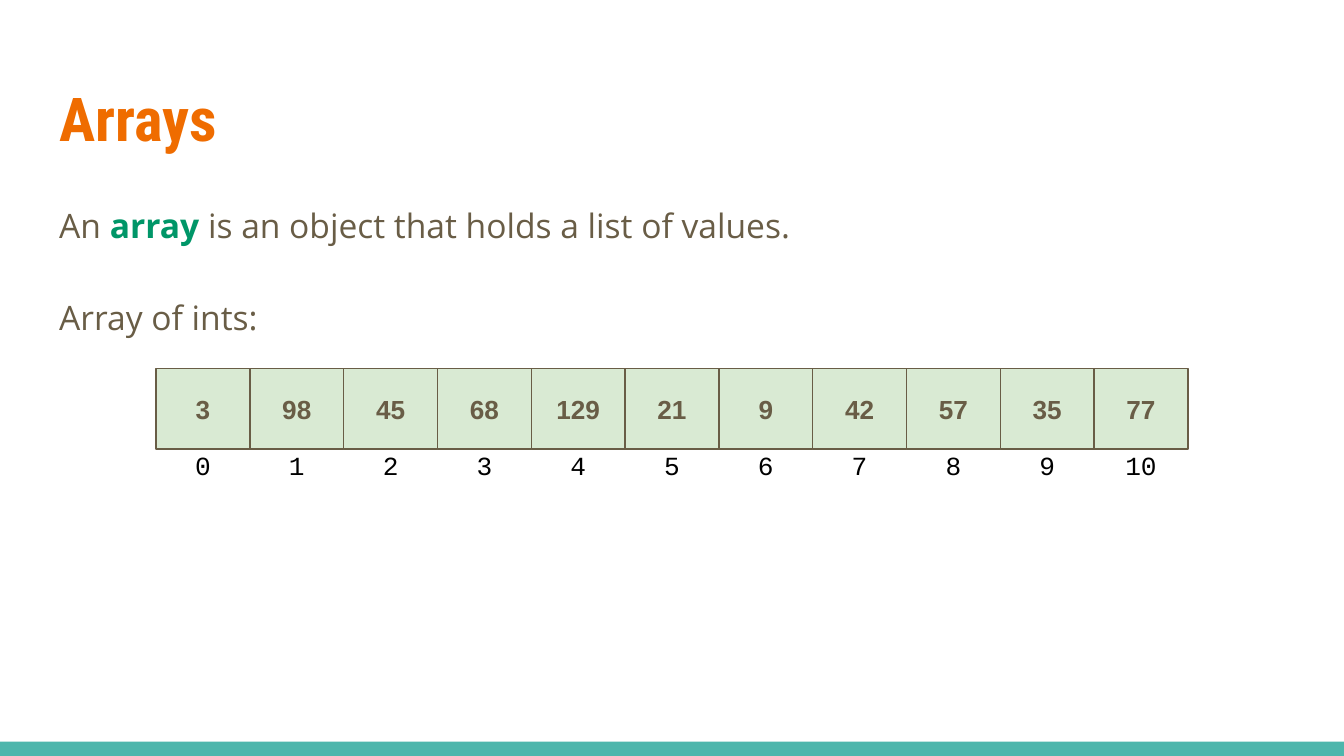
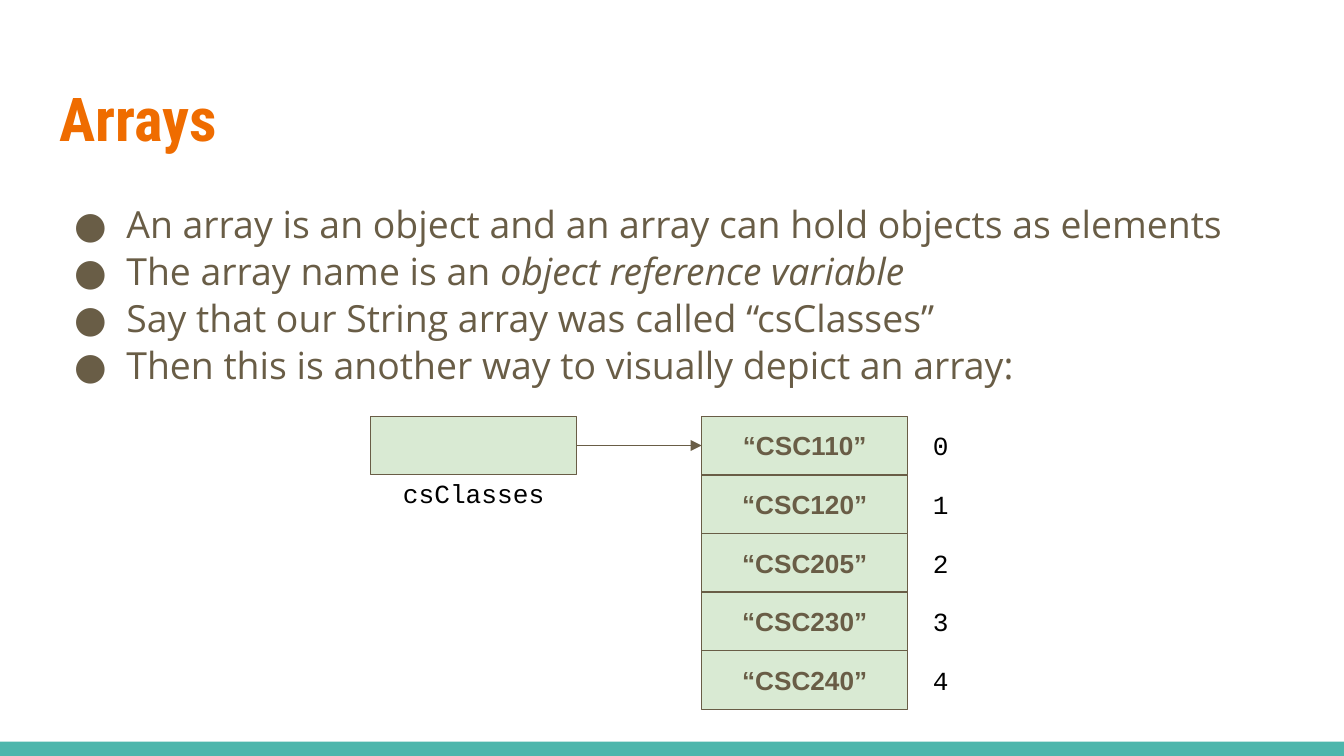
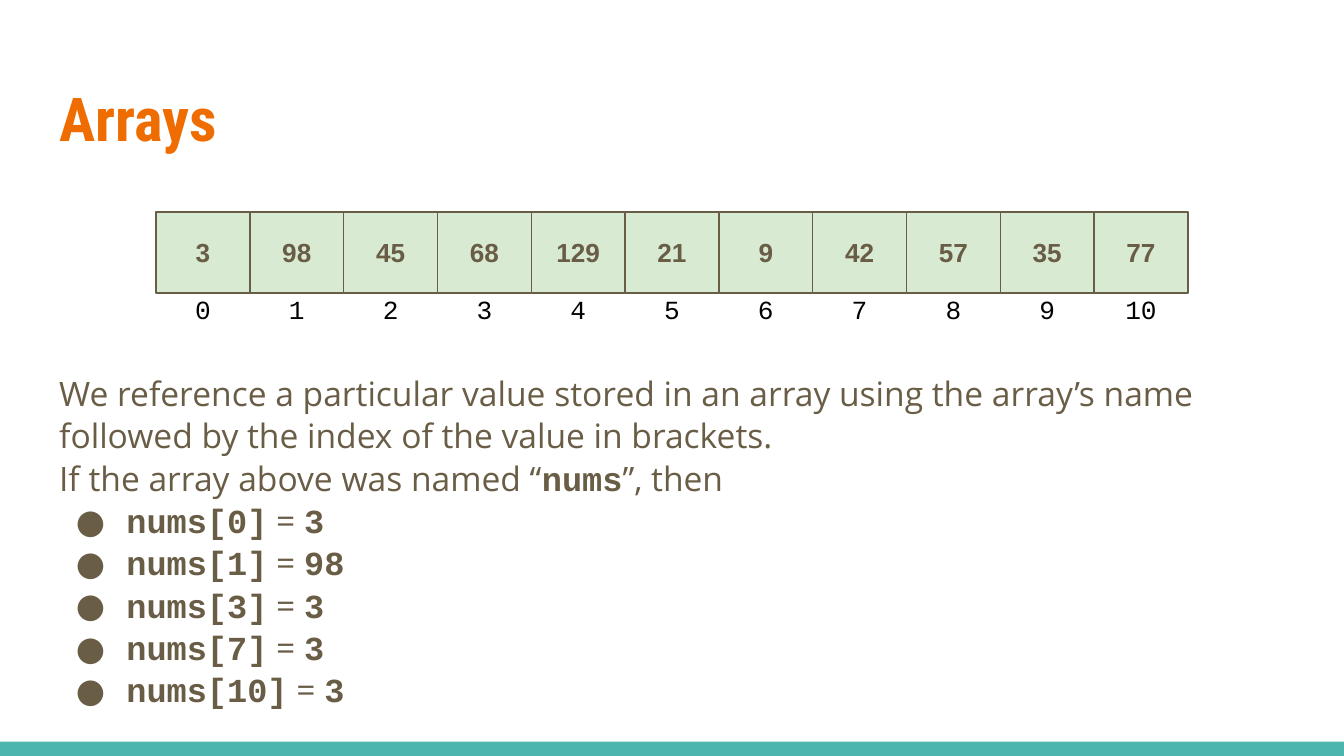
"""Build three slides that introduce arrays with cell diagrams."""
import pptx
import pptx.dml.color
import pptx.enum.shapes
import pptx.enum.text
import pptx.oxml.ns
import pptx.util
from lxml import etree

Pt = pptx.util.Pt
RGBColor = pptx.dml.color.RGBColor
ALIGN = pptx.enum.text.PP_ALIGN
MIDDLE = pptx.enum.text.MSO_ANCHOR.MIDDLE
RECTANGLE = pptx.enum.shapes.MSO_SHAPE.RECTANGLE
STRAIGHT = pptx.enum.shapes.MSO_CONNECTOR.STRAIGHT
qn = pptx.oxml.ns.qn

ORANGE = RGBColor(0xEF, 0x6C, 0x00)
BROWN = RGBColor(0x69, 0x5D, 0x46)
GREEN = RGBColor(0x00, 0x96, 0x68)
PALE_GREEN = RGBColor(0xD9, 0xEA, 0xD3)
TEAL = RGBColor(0x4D, 0xB6, 0xAC)
BLACK = RGBColor(0, 0, 0)

TITLE_FONT, BODY_FONT, CELL_FONT, CODE_FONT = "Roboto Condensed", "Open Sans", "Arial", "Courier New"
PAGE_WIDTH, PAGE_HEIGHT, BAND_HEIGHT = 720, 405, 7.6
MARGIN, CONTENT_WIDTH = 24.5, 671
INSET = 7.2

PLAIN = {}
TERM = {"bold": True, "color": GREEN}
EMPHASIS = {"italic": True}
CODE = {"name": CODE_FONT, "bold": True}

TITLE = "Arrays"
NUMBERS = [3, 98, 45, 68, 129, 21, 9, 42, 57, 35, 77]
ARRAY_NAME = "csClasses"
CLASSES = ["“CSC110”", "“CSC120”", "“CSC205”", "“CSC230”", "“CSC240”"]
LOOKUPS = [(0, 3), (1, 98), (3, 3), (7, 3), (10, 3)]

DEFINITION = [
    [("An ", PLAIN), ("array ", TERM), ("is an object that holds a list of values.", PLAIN)],
    [("Array of ints:", PLAIN)],
]
OBJECT_POINTS = [
    [("An array is an object and an array can hold objects as elements", PLAIN)],
    [("The array name is an ", PLAIN), ("object reference variable", EMPHASIS)],
    [("Say that our String array was called “csClasses”", PLAIN)],
    [("Then this is another way to visually depict an array:", PLAIN)],
]
REFERENCE = [
    [("We reference a particular value stored in an array using the array’s name "
      "followed by the index of the value in brackets.", PLAIN)],
    [("If the array above was named “", PLAIN), ("nums", CODE), ("”, then", PLAIN)],
]
EXAMPLES = [[(f"nums[{index}]", CODE), (" = ", PLAIN), (str(value), CODE)] for index, value in LOOKUPS]


def style_font(font, color=None, **settings):
    for key, value in settings.items():
        setattr(font, key, Pt(value) if key == "size" else value)
    if color is not None:
        font.color.rgb = color


def place(shape, left, top, width, height):
    shape.left, shape.top, shape.width, shape.height = map(Pt, (left, top, width, height))


def prepare_frame(shape, anchor):
    frame = shape.text_frame
    frame.word_wrap = True
    frame.auto_size = pptx.enum.text.MSO_AUTO_SIZE.NONE
    frame.vertical_anchor = anchor
    frame.margin_left = frame.margin_right = frame.margin_top = frame.margin_bottom = Pt(INSET)
    return frame


def write_line(shape, text, align, **settings):
    para = prepare_frame(shape, MIDDLE).paragraphs[0]
    para.text, para.alignment = text, align
    style_font(para.font, **settings)


def set_bullet(para, hanging):
    properties = para._p.get_or_add_pPr()
    properties.set("marL", str(Pt(36) if hanging else 0))
    properties.set("indent", str(-Pt(hanging)))
    if hanging:
        color = etree.SubElement(properties, qn("a:buClr"))
        etree.SubElement(color, qn("a:srgbClr"), val=str(BROWN))
        etree.SubElement(properties, qn("a:buFont"), typeface=BODY_FONT)
        etree.SubElement(properties, qn("a:buChar"), char="●")
    else:
        etree.SubElement(properties, qn("a:buNone"))


def write_body(page, top, height, lines, size, spacing, bulleted_from, hanging=28, gap=0):
    body = page.placeholders[1]
    place(body, MARGIN, top, CONTENT_WIDTH, height)
    frame = prepare_frame(body, pptx.enum.text.MSO_ANCHOR.TOP)
    for number, spans in enumerate(lines):
        para = frame.add_paragraph() if number else frame.paragraphs[0]
        set_bullet(para, hanging if number >= bulleted_from else 0)
        para.line_spacing = spacing
        para.space_before = Pt(gap if number else 0)
        style_font(para.font, name=BODY_FONT, size=size, color=BROWN)
        for text, settings in spans:
            span = para.add_run()
            span.text = text
            style_font(span.font, **settings)


def add_page(deck):
    page = deck.slides.add_slide(deck.slide_layouts[1])
    place(page.shapes.title, MARGIN, 35, CONTENT_WIDTH, 55.7)
    write_line(page.shapes.title, TITLE, ALIGN.LEFT, name=TITLE_FONT, size=32.4, bold=True, color=ORANGE)
    return page


def add_block(shapes, left, top, width, height, fill):
    block = shapes.add_shape(RECTANGLE, *map(Pt, (left, top, width, height)))
    block.shadow.inherit = False
    block.fill.solid()
    block.fill.fore_color.rgb = fill
    block.line.fill.background()
    return block


def add_cell(shapes, left, top, width, height, text=""):
    cell = add_block(shapes, left, top, width, height, PALE_GREEN)
    cell.line.color.rgb = BROWN
    cell.line.width = Pt(0.75)
    if text:
        write_line(cell, text, ALIGN.CENTER, name=CELL_FONT, size=14, bold=True, color=BROWN)
    return cell


def add_label(shapes, left, top, width, height, text):
    label = shapes.add_textbox(*map(Pt, (left, top, width, height)))
    write_line(label, text, ALIGN.CENTER, name=CODE_FONT, size=14, color=BLACK)


def add_number_row(page, top):
    width, height = 50.25, 43.3
    first = (PAGE_WIDTH - width * len(NUMBERS)) / 2
    for index, number in enumerate(NUMBERS):
        left = first + index * width
        group = page.shapes.add_group_shape()
        add_cell(group.shapes, left, top, width, height, str(number))
        add_label(group.shapes, left, top + height, width, 16.8, str(index))


def add_class_column(page):
    top, width, height = 223, 110.4, 31.4
    name_left, column_left = 198.6, 375.9
    column = page.shapes.add_group_shape()
    cells = []
    for index, name in enumerate(CLASSES):
        cell_top = top + index * height
        cells.append(add_cell(column.shapes, column_left, cell_top, width, height, name))
        add_label(column.shapes, column_left + width, cell_top + 9.6, 35.2, 12.2, str(index))
    variable = page.shapes.add_group_shape()
    reference = add_cell(variable.shapes, name_left, top, width, height)
    add_label(variable.shapes, name_left, top + height, width, 20, ARRAY_NAME)
    arrow = page.shapes.add_connector(STRAIGHT, 0, 0, 0, 0)
    arrow.begin_connect(reference, 3)
    arrow.end_connect(cells[0], 1)
    arrow.line.color.rgb = BROWN
    arrow.line.width = Pt(0.75)
    etree.SubElement(arrow.line._get_or_add_ln(), qn("a:tailEnd"), type="triangle")
    etree.SubElement(arrow._element.spPr, qn("a:effectLst"))


def main():
    deck = pptx.Presentation()
    deck.slide_width, deck.slide_height = Pt(PAGE_WIDTH), Pt(PAGE_HEIGHT)

    page = add_page(deck)
    band = add_block(page.shapes, 0, PAGE_HEIGHT - BAND_HEIGHT, PAGE_WIDTH, BAND_HEIGHT, TEAL)
    page.slide_layout.shapes.element.insert(2, band.element)
    write_body(page, 99.4, 157, DEFINITION, 18, 1.15, len(DEFINITION), gap=24.6)
    add_number_row(page, 197.3)

    page = add_page(deck)
    write_body(page, 99.4, 290, OBJECT_POINTS, 20, 1.05, 0)
    add_class_column(page)

    page = add_page(deck)
    write_body(page, 191.5, 207.4, REFERENCE + EXAMPLES, 18, 1.05, len(REFERENCE), hanging=27)
    add_number_row(page, 113.6)

    deck.save("out.pptx")


if __name__ == "__main__":
    main()
